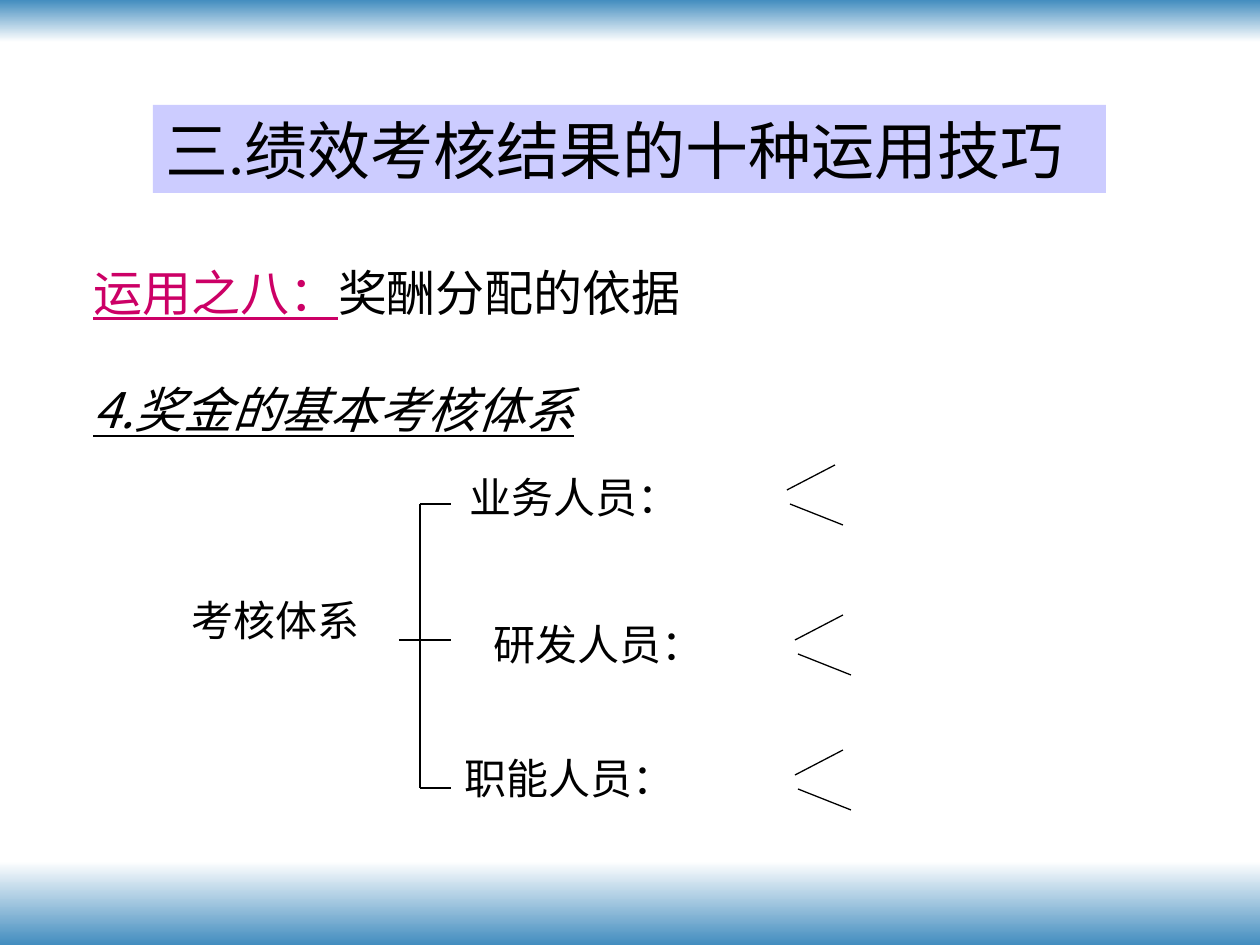
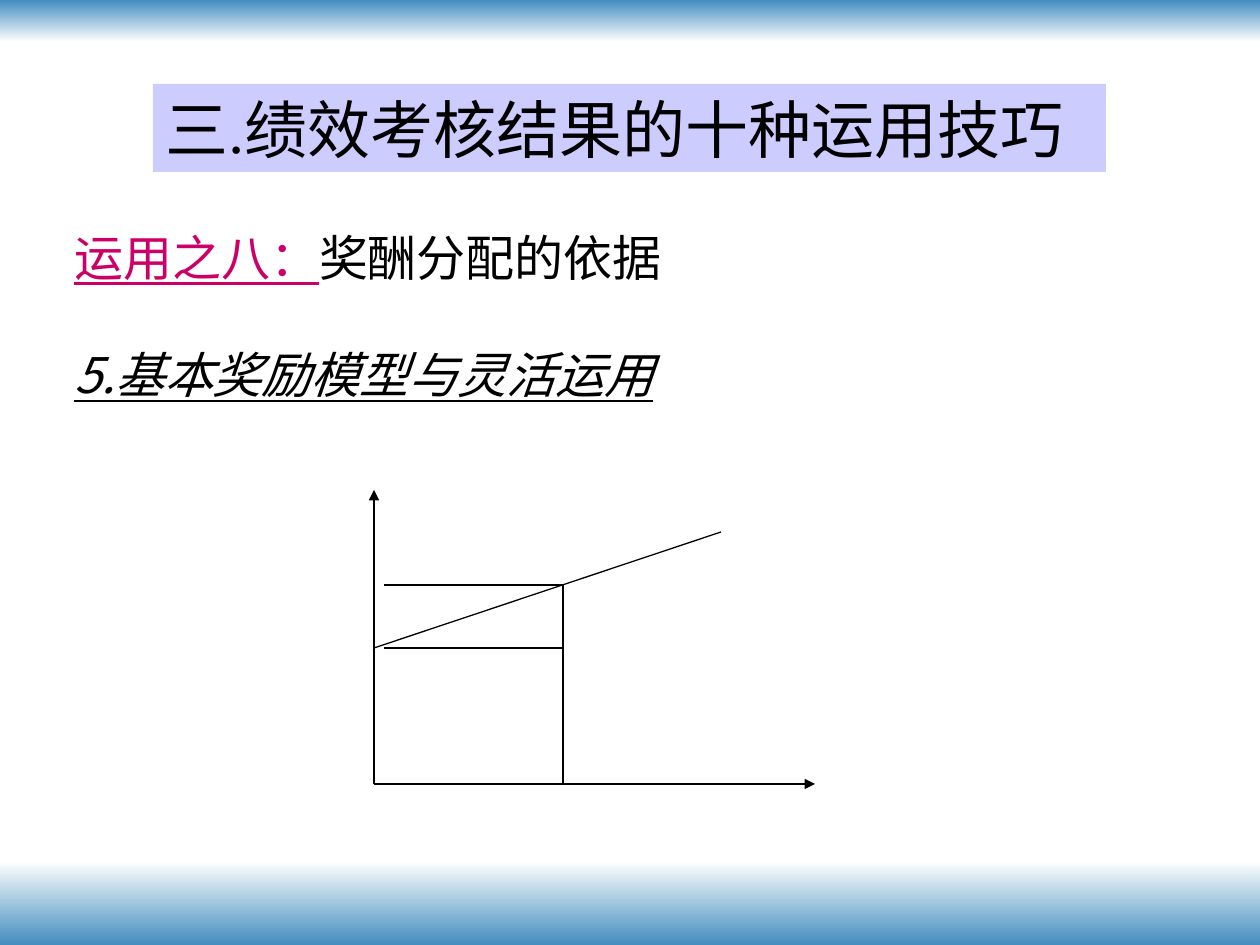
from lxml import etree
from pptx import Presentation
from pptx import util as u
from pptx.dml.color import RGBColor
from pptx.enum import shapes, text
from pptx.oxml import ns

SCALE = u.Inches(1) / 126
WIDTH, HEIGHT = 1260, 945
BLACK = RGBColor(0x00, 0x00, 0x00)
WHITE = RGBColor(0xFF, 0xFF, 0xFF)
BLUE = RGBColor(0x43, 0x8D, 0xBF)
LILAC = RGBColor(0xCC, 0xCC, 0xFF)
MAGENTA = RGBColor(0xCC, 0x00, 0x66)
CJK_FONT = "Noto Sans CJK SC"
TITLE_FONT = "Times New Roman"

BANDS = [(861, 84, WHITE, BLUE), (0, 42, BLUE, WHITE)]
TITLE = "三.绩效考核结果的十种运用技巧"
USE_LABEL, USE_NAME = "运用之八：", "奖酬分配的依据"

SYSTEM = {"title_top": 105, "heading": (81, 256, 612), "topic": "4.奖金的基本考核体系"}
MODEL = {"title_top": 84, "heading": (62, 221, 616), "topic": "5.基本奖励模型与灵活运用"}

LABELS = [
    ("考核体系", 179, 588, 193),
    ("业务人员：", 457, 465, 234),
    ("研发人员：", 481, 612, 234),
    ("职能人员：", 452, 746, 234),
]
STEM_X, STEM_LEFT, BRANCH_RIGHT = 420, 399, 451
BRANCH_TOP, BRANCH_MIDDLE, BRANCH_BOTTOM = 504, 640, 788
FORKS = [(787, 490), (795, 640), (795, 775)]
FORK_ARMS = [((48, -25), (0, 0)), ((3, 14), (56, 35))]

ORIGIN_X, ORIGIN_Y = 374, 784
AXIS_TOP, AXIS_RIGHT = 490, 815
GUIDE_LEFT, TARGET_X = 384, 563
BASE_Y, TARGET_Y = 648, 585
REWARD_END = (721, 532)


def px(value):
    return u.Emu(round(value * SCALE))


def add_box(page, left, top, width, height, fill=None):
    box = page.shapes.add_shape(
        shapes.MSO_SHAPE.RECTANGLE, px(left), px(top), px(width), px(height))
    box.shadow.inherit = False
    box.line.fill.background()
    if fill is None:
        box.fill.background()
    else:
        box.fill.solid()
        box.fill.fore_color.rgb = fill
    frame = box.text_frame
    frame.word_wrap = False
    frame.auto_size = text.MSO_AUTO_SIZE.SHAPE_TO_FIT_TEXT
    frame.vertical_anchor = text.MSO_ANCHOR.TOP
    frame.paragraphs[0].alignment = text.PP_ALIGN.LEFT
    return box


def add_text(para, words, size=28, color=BLACK, font=CJK_FONT, italic=False, underline=False):
    span = para.add_run()
    span.text = words
    span.font.size = u.Pt(size)
    span.font.name = font
    span.font.color.rgb = color
    span.font.italic = italic
    span.font.underline = underline
    east_asian = etree.SubElement(span.font._element, ns.qn("a:ea"))
    east_asian.set("typeface", CJK_FONT)


def add_line(page, start, end, arrow=False):
    line = page.shapes.add_connector(
        shapes.MSO_CONNECTOR.STRAIGHT, *map(px, start + end))
    line.line.color.rgb = BLACK
    line.line.width = u.Pt(0.75)
    if arrow:
        outline = line.line._get_or_add_ln()
        etree.SubElement(outline, ns.qn("a:tailEnd")).set("type", "triangle")
    etree.SubElement(line._element.spPr, ns.qn("a:effectLst"))


def add_band(page, top, height, first, last):
    band = page.shapes.add_shape(
        shapes.MSO_SHAPE.RECTANGLE, 0, px(top), px(WIDTH), px(height))
    band.shadow.inherit = False
    band.line.fill.background()
    band.fill.gradient()
    band.fill.gradient_angle = 270
    for stop, color, position in zip(band.fill.gradient_stops, (first, last), (0, 1)):
        stop.color.rgb = color
        stop.position = position


def add_page(deck, content):
    page = deck.slides.add_slide(deck.slide_layouts[6])
    for band in BANDS:
        add_band(page, *band)
    title = add_box(page, 153, content["title_top"], 953, 88, fill=LILAC)
    add_text(title.text_frame.paragraphs[0], TITLE, size=36, font=TITLE_FONT)
    left, top, width = content["heading"]
    frame = add_box(page, left, top, width, 189).text_frame
    use = frame.paragraphs[0]
    add_text(use, USE_LABEL, color=MAGENTA, underline=True)
    add_text(use, USE_NAME)
    topic = frame.add_paragraph()
    topic.alignment = text.PP_ALIGN.LEFT
    topic.space_before = u.Pt(33.5)
    add_text(topic, content["topic"], italic=True, underline=True)
    return page


def draw_system(page):
    for words, left, top, width in LABELS:
        label = add_box(page, left, top, width, 63)
        add_text(label.text_frame.paragraphs[0], words, size=24)
    add_line(page, (STEM_LEFT, BRANCH_MIDDLE), (BRANCH_RIGHT, BRANCH_MIDDLE))
    add_line(page, (STEM_X, BRANCH_TOP), (STEM_X, BRANCH_BOTTOM))
    for y in (BRANCH_TOP, BRANCH_BOTTOM):
        add_line(page, (STEM_X, y), (BRANCH_RIGHT, y))
    for x, y in FORKS:
        for arm in FORK_ARMS:
            add_line(page, *((x + dx, y + dy) for dx, dy in arm))


def draw_model(page):
    origin = (ORIGIN_X, ORIGIN_Y)
    add_line(page, origin, (ORIGIN_X, AXIS_TOP), arrow=True)
    add_line(page, origin, (AXIS_RIGHT, ORIGIN_Y), arrow=True)
    for y in (BASE_Y, TARGET_Y):
        add_line(page, (GUIDE_LEFT, y), (TARGET_X, y))
    add_line(page, (TARGET_X, TARGET_Y), (TARGET_X, ORIGIN_Y))
    add_line(page, (ORIGIN_X, BASE_Y), REWARD_END)


def main():
    deck = Presentation()
    deck.slide_width, deck.slide_height = px(WIDTH), px(HEIGHT)
    draw_system(add_page(deck, SYSTEM))
    draw_model(add_page(deck, MODEL))
    deck.save("out.pptx")


if __name__ == "__main__":
    main()
